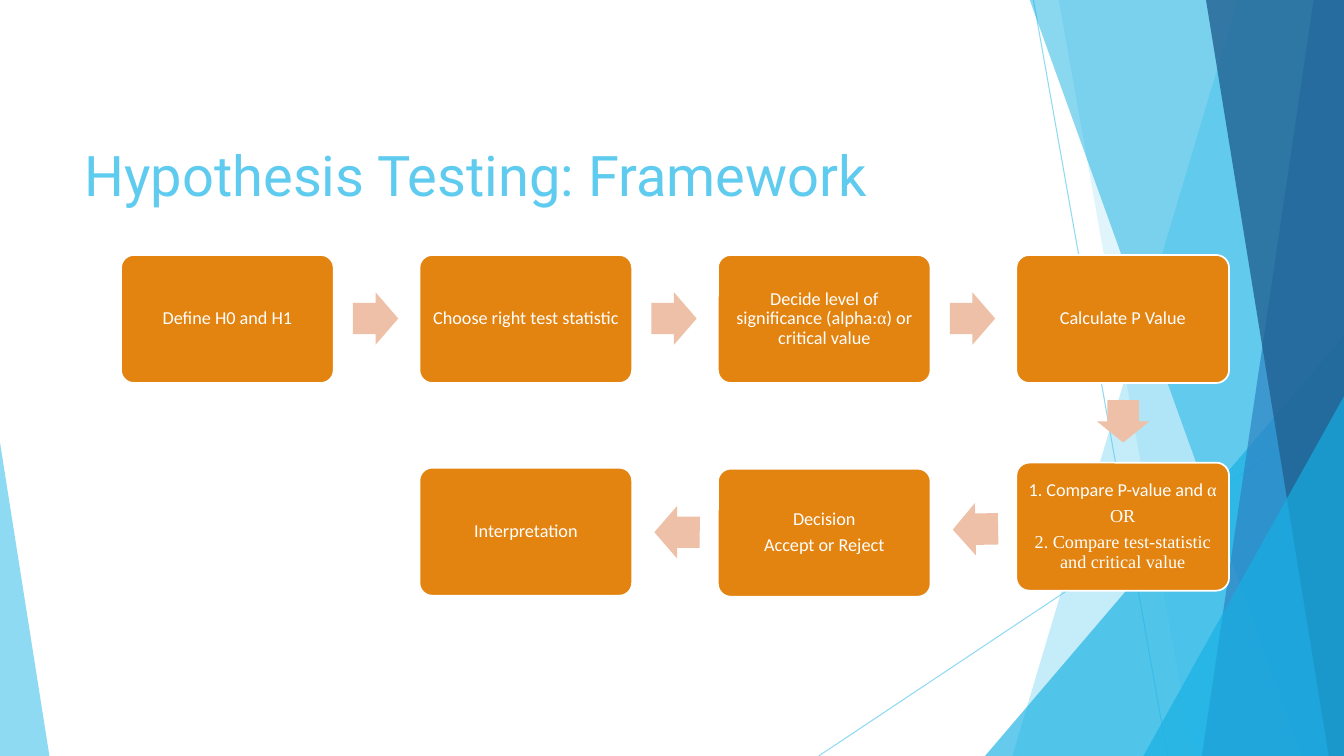
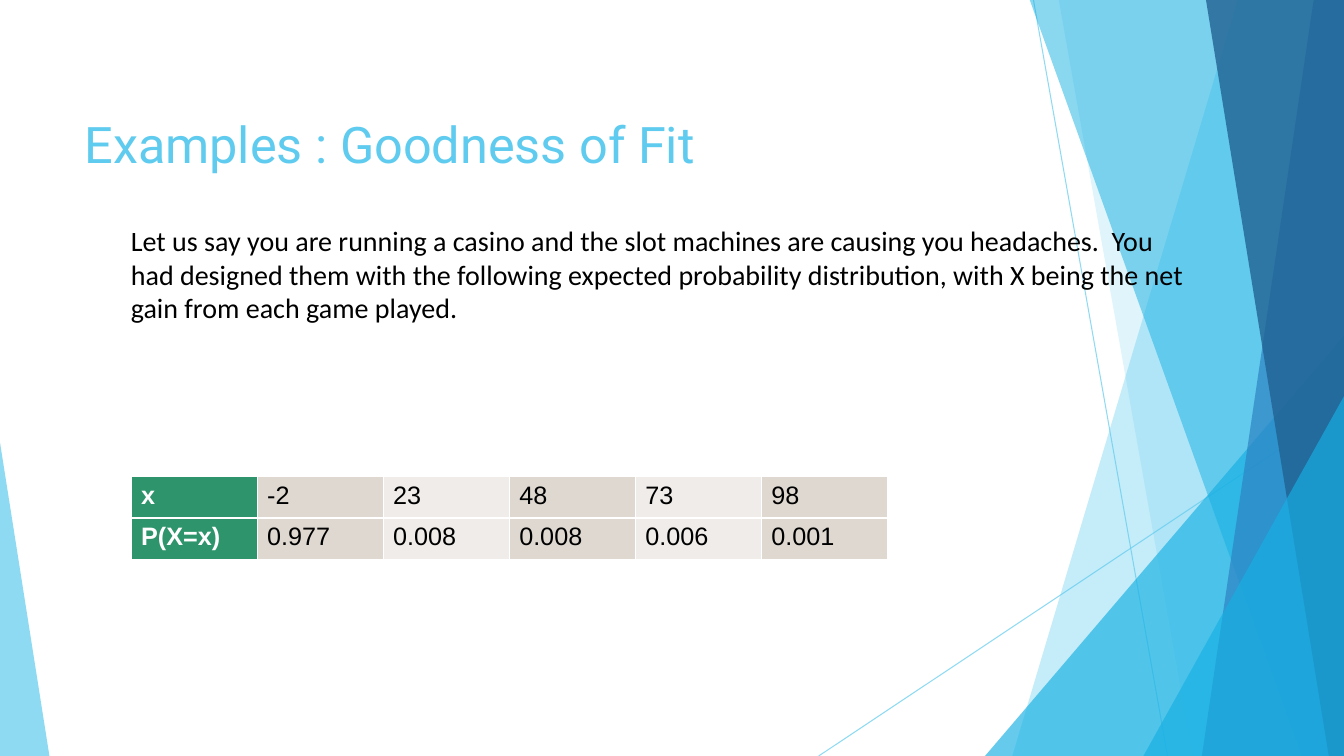
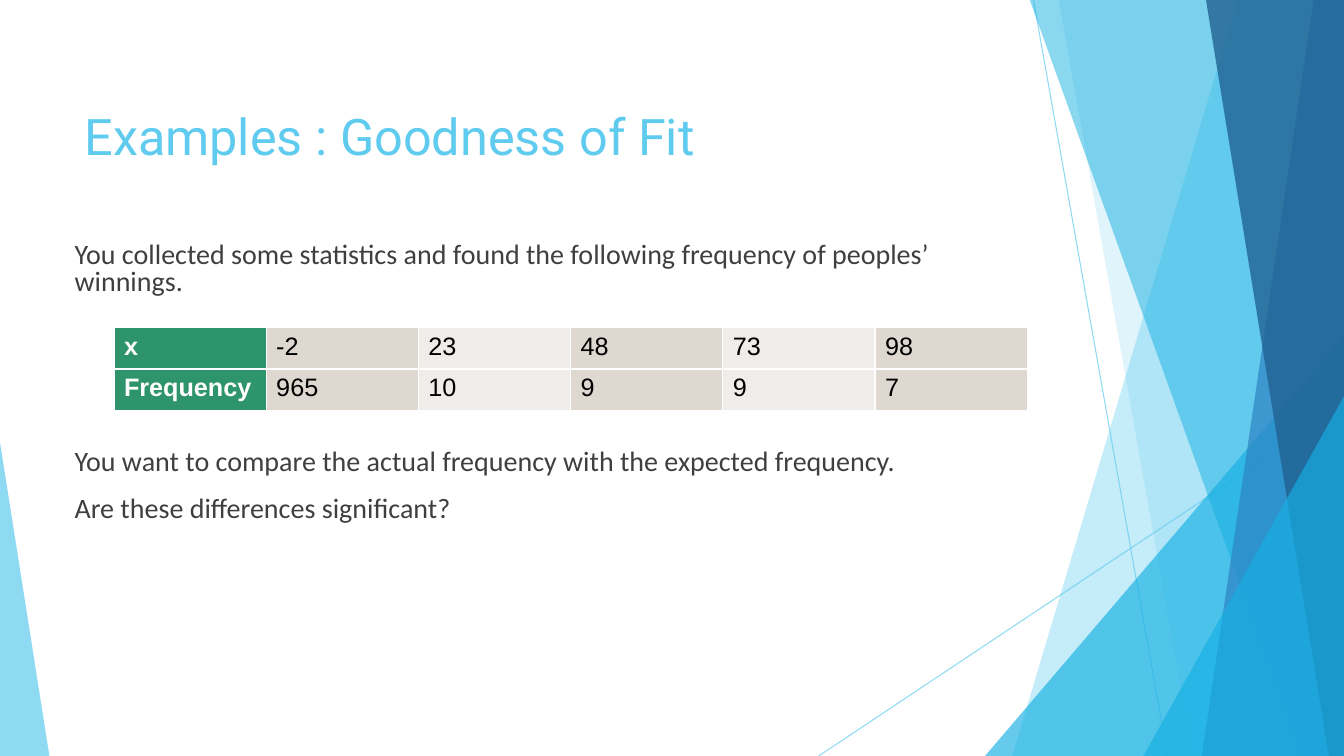
from pptx import Presentation
from pptx import util as u
from pptx.dml.color import RGBColor
from pptx.enum import shapes, text
from pptx.oxml import parse_xml
from pptx.oxml.ns import nsdecls, qn
from lxml import etree

WIDTH, HEIGHT = 13.33, 7.5
SKY, CYAN, BLUE, NAVY = "5FCBEF", "16B0E3", "2E83C3", "226292"
ORANGE, PEACH, GREEN = "E38310", "EEC0A7", "2E946B"
SAND, PALE = "DED8D0", "EFECE9"
WHITE, BLACK, GREY = "FFFFFF", "000000", "3F3F3F"
BODY, SERIF = "Calibri", "Times New Roman"
SHAPE, ALIGN, ANCHOR = shapes.MSO_SHAPE, text.PP_ALIGN, text.MSO_ANCHOR


def rgb(value):
    return RGBColor.from_string(value)


def inches(*lengths):
    return [u.Inches(length) for length in lengths]


def set_alpha(part, percent):
    """Make the first colour inside a shape's properties see-through."""
    colour = next(part._element.spPr.iter(qn("a:srgbClr")))
    etree.SubElement(colour, qn("a:alpha")).set("val", str(percent * 1000))


class Slides:
    def __init__(self):
        self.deck = Presentation()
        self.deck.slide_width, self.deck.slide_height = inches(WIDTH, HEIGHT)
        self.page = None

    def new_page(self, title, top, size=36):
        self.page = self.deck.slides.add_slide(self.deck.slide_layouts[6])
        self.backdrop()
        self.text_box((0.74, top, 9.4, 1.44), [title], size, SKY, font="Roboto",
                      spacing=0.85, anchor=ANCHOR.BOTTOM)

    # Shared backdrop of thin lines and see-through panels
    def backdrop(self):
        self.thin_line(10.25, 0, 11.58, HEIGHT)
        self.thin_line(WIDTH, 4.03, 8.12, HEIGHT)
        self.panel(12.28, 10.04, SKY, 36)
        self.panel(10.5, 11.83, SKY, 20)
        self.triangle((9.77, 3.33, 3.56, 4.17), 1, CYAN, 66)
        self.panel(10.21, 12.91, CYAN, 50)
        self.panel(13.03, 11.92, BLUE, 70)
        self.panel(11.96, 13.18, NAVY, 80)
        self.triangle((11.34, 3.93, 1.99, 3.57), 1, CYAN, 66)
        self.triangle((0, 4.39, 0.49, 3.11), 0, SKY, 70)

    def thin_line(self, x1, y1, x2, y2):
        line = self.page.shapes.add_connector(
            shapes.MSO_CONNECTOR.STRAIGHT, *inches(x1, y1, x2, y2))
        line.line.color.rgb = rgb(SKY)
        line.line.width = u.Pt(0.75)
        set_alpha(line, 70)
        etree.SubElement(line._element.spPr, qn("a:effectLst"))

    def panel(self, top_x, bottom_x, colour, alpha):
        outline = self.page.shapes.build_freeform(*inches(top_x, -0.01))
        corners = [(WIDTH, -0.01), (WIDTH, HEIGHT), (bottom_x, HEIGHT)]
        outline.add_line_segments([inches(*corner) for corner in corners])
        self.paint(outline.convert_to_shape(), colour, alpha)

    def triangle(self, place, tip, colour, alpha):
        self.shape(SHAPE.ISOSCELES_TRIANGLE, place, colour, [tip], alpha)

    # Basic elements
    def paint(self, shape, colour, alpha=None):
        shape.shadow.inherit = False
        shape.fill.solid()
        shape.fill.fore_color.rgb = rgb(colour)
        shape.line.fill.background()
        if alpha:
            set_alpha(shape, alpha)

    def shape(self, kind, place, colour, adjustments, alpha=None):
        shape = self.page.shapes.add_shape(kind, *inches(*place))
        for index, value in enumerate(adjustments):
            shape.adjustments[index] = value
        self.paint(shape, colour, alpha)
        return shape

    def set_text(self, frame, paragraphs, size, colour, font=BODY, spacing=1.0,
                 before=0, align=ALIGN.LEFT, anchor=ANCHOR.TOP, margins=(0.1, 0.05)):
        """Each paragraph is a string or a list of (text, font) pairs."""
        frame.word_wrap = True
        frame.vertical_anchor = anchor
        frame.margin_left = frame.margin_right = u.Inches(margins[0])
        frame.margin_top = frame.margin_bottom = u.Inches(margins[1])
        for index, content in enumerate(paragraphs):
            para = frame.add_paragraph() if index else frame.paragraphs[0]
            para.alignment = align
            para.line_spacing = spacing
            para.space_before = u.Pt(before if index else 0)
            para.font.size = u.Pt(size)
            para.font.color.rgb = rgb(colour)
            if isinstance(content, str):
                para.font.name = font
                para.add_run().text = content
                continue
            for words, span_font in content:
                span = para.add_run()
                span.text = words
                span.font.name = span_font

    def text_box(self, place, paragraphs, size, colour, **style):
        box = self.page.shapes.add_textbox(*inches(*place))
        self.set_text(box.text_frame, paragraphs, size, colour, **style)

    # Flow chart
    def step(self, left, top, paragraphs):
        box = self.shape(SHAPE.ROUNDED_RECTANGLE, (left, top, 2.11, 1.27),
                         ORANGE, [0.1])
        box.line.color.rgb = rgb(WHITE)
        box.line.width = u.Pt(1.25)
        self.set_text(box.text_frame, paragraphs, 13, WHITE, spacing=0.9, before=4.5,
                      align=ALIGN.CENTER, anchor=ANCHOR.MIDDLE, margins=(0.08, 0.08))

    def arrow(self, kind, place, rotation=0):
        self.shape(kind, place, PEACH, [0.6, 0.5]).rotation = rotation

    # Table with a green header column and striped columns
    def table(self, left, top, column_width, rows):
        columns, row_height = len(rows[0]), 0.41
        grid = self.page.shapes.add_table(
            len(rows), columns,
            *inches(left, top, column_width * columns, row_height * len(rows))).table
        grid.first_row = grid.horz_banding = False
        for column in grid.columns:
            column.width = u.Inches(column_width)
        for row, values in zip(grid.rows, rows):
            row.height = u.Inches(row_height)
            for index, (cell, value) in enumerate(zip(row.cells, values)):
                self.borders(cell)
                cell.fill.solid()
                stripe = SAND if index % 2 else PALE
                cell.fill.fore_color.rgb = rgb(stripe if index else GREEN)
                para = cell.text_frame.paragraphs[0]
                para.font.name = "Arial"
                para.font.size = u.Pt(18)
                para.font.bold = index == 0
                para.font.color.rgb = rgb(BLACK if index else WHITE)
                para.add_run().text = value

    def borders(self, cell):
        for side in "LRTB":
            cell._tc.get_or_add_tcPr().append(parse_xml(
                f'<a:ln{side} {nsdecls("a")} w="12700"><a:solidFill>'
                f'<a:srgbClr val="{WHITE}"/></a:solidFill></a:ln{side}>'))


def framework(slides):
    slides.new_page("Hypothesis Testing: Framework", 0.67, 40)
    first_left, pitch, upper = 1.2, 2.96, 2.53
    steps = [
        (0, upper, ["Define H0 and H1"]),
        (1, upper, ["Choose right test statistic"]),
        (2, upper, [[("Decide level of significance (alpha:", BODY), ("α", SERIF),
                     (") or critical value", BODY)]]),
        (3, upper, ["Calculate P Value"]),
        (3, 4.59, [[("1. Compare P-value and ", BODY), ("α", SERIF)],
                   [("OR", SERIF)],
                   [("2. Compare test-statistic and critical value", SERIF)]]),
        (2, 4.65, ["Decision", "Accept or Reject"]),
        (1, 4.64, ["Interpretation"]),
    ]
    for column, top, paragraphs in steps:
        slides.step(first_left + pitch * column, top, paragraphs)
    for column in range(3):
        slides.arrow(SHAPE.RIGHT_ARROW, (3.5 + pitch * column, 2.9, 0.45, 0.52))
    slides.arrow(SHAPE.DOWN_ARROW, (10.88, 3.97, 0.52, 0.42))
    slides.arrow(SHAPE.LEFT_ARROW, (9.45, 4.99, 0.45, 0.52), -1.1)
    slides.arrow(SHAPE.LEFT_ARROW, (6.49, 5.02, 0.45, 0.52), 0.1)


def expected_distribution(slides, gains):
    slides.new_page("Examples : Goodness of Fit", 0.33)
    slides.text_box((1.2, 2.17, 10.77, 3.89), [
        "Let us say you are running a casino and the slot machines are causing you "
        "headaches.  You had designed them with the following expected probability "
        "distribution, with X being the net gain from each game played."], 20, BLACK)
    slides.table(1.3, 4.73, 1.25, [
        gains, ["P(X=x)", "0.977", "0.008", "0.008", "0.006", "0.001"]])


def observed_frequency(slides, gains):
    slides.new_page("Examples : Goodness of Fit", 0.25)
    style = dict(spacing=0.8, before=14, margins=(0, 0.05))
    slides.text_box((0.74, 2.36, 9.4, 0.7), [
        "You collected some statistics and found the following frequency of "
        "peoples’ winnings."], 20, GREY, **style)
    slides.table(1.13, 3.25, 1.51, [
        gains, ["Frequency", "965", "10", "9", "9", "7"]])
    slides.text_box((0.74, 4.42, 9.4, 0.9), [
        "You want to compare the actual frequency with the expected frequency.",
        "Are these differences significant?"], 20, GREY, **style)


def main():
    slides = Slides()
    gains = ["x", "-2", "23", "48", "73", "98"]
    framework(slides)
    expected_distribution(slides, gains)
    observed_frequency(slides, gains)
    slides.deck.save("out.pptx")


if __name__ == "__main__":
    main()
